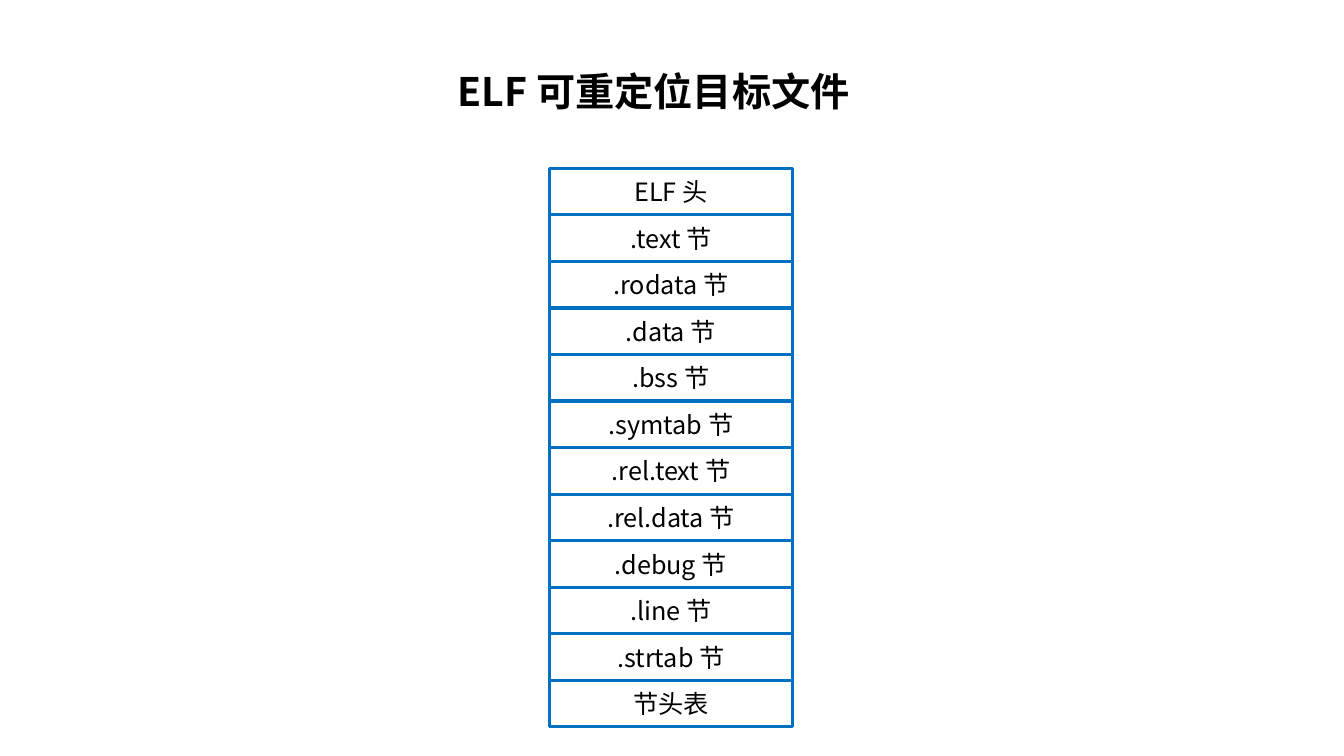
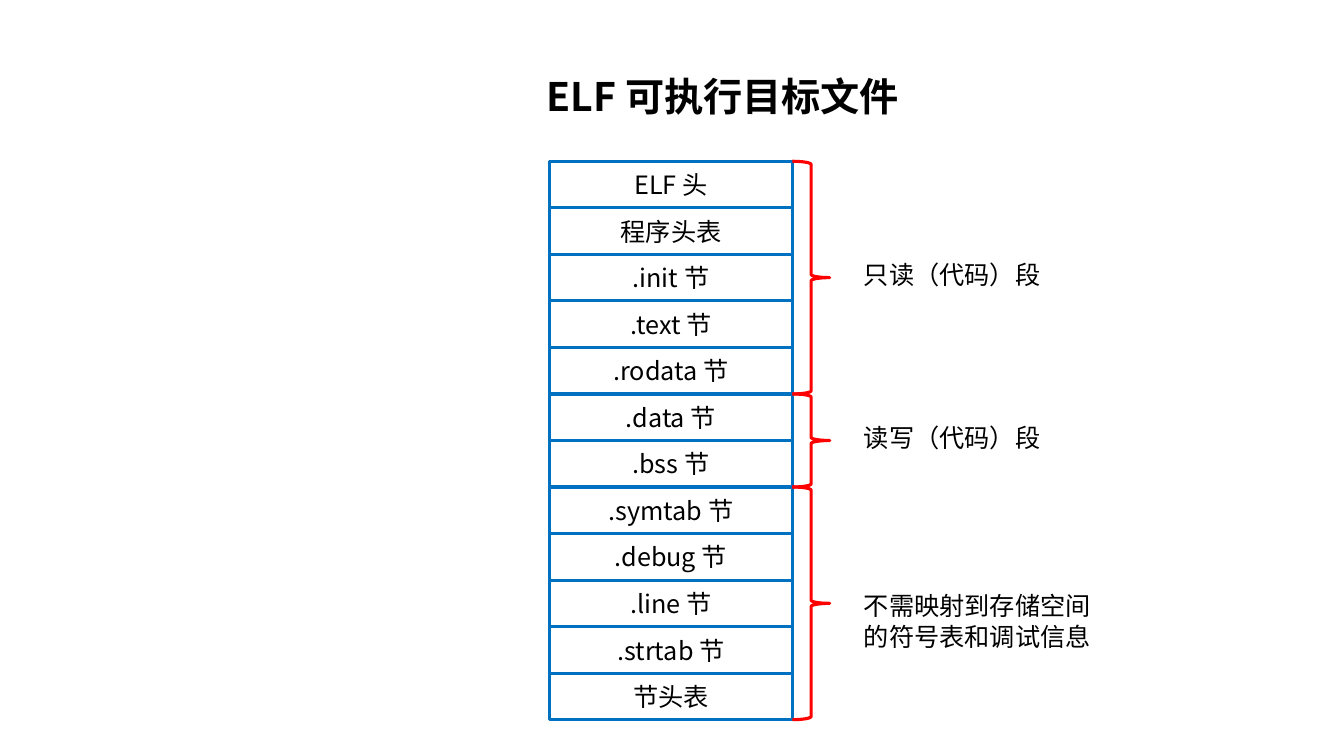
"""Build two slides on the section layout of ELF object files."""
import pptx
import pptx.dml.color
import pptx.enum.shapes
import pptx.enum.text
import pptx.oxml
import pptx.oxml.ns
import pptx.util

FONT = "Noto Sans CJK SC"
BLACK = pptx.dml.color.RGBColor(0x00, 0x00, 0x00)
BLUE = pptx.dml.color.RGBColor(0x00, 0x70, 0xC0)
RED = pptx.dml.color.RGBColor(0xFF, 0x00, 0x00)

deck = pptx.Presentation()
deck.slide_width = pptx.util.Inches(13.33)
deck.slide_height = pptx.util.Inches(7.5)

ROW = pptx.util.Inches(5.54) // 12
STACK_LEFT = pptx.util.Inches(5.45)
STACK_WIDTH = pptx.util.Inches(2.41)
BRACE_LEFT = STACK_LEFT + STACK_WIDTH
BRACE_WIDTH = pptx.util.Inches(0.37)
LABEL_LEFT = pptx.util.Inches(8.47)


def write(shape, text, size, bold=False, align="LEFT", anchor="TOP"):
    frame = shape.text_frame
    frame.word_wrap = True
    frame.vertical_anchor = getattr(pptx.enum.text.MSO_ANCHOR, anchor)
    paragraph = frame.paragraphs[0]
    paragraph.alignment = getattr(pptx.enum.text.PP_ALIGN, align)
    run = paragraph.add_run()
    run.text = text
    run.font.name = FONT
    run.font.size = pptx.util.Pt(size)
    run.font.bold = bold
    run.font.color.rgb = BLACK
    east_asian = pptx.oxml.parse_xml(
        f'<a:ea {pptx.oxml.ns.nsdecls("a")} typeface="{FONT}"/>')
    run.font._element.find(pptx.oxml.ns.qn("a:latin")).addnext(east_asian)


def add_outline(slide, preset, left, top, width, height, color):
    outline = slide.shapes.add_shape(preset, left, top, width, height)
    outline.shadow.inherit = False
    outline.fill.background()
    outline.line.color.rgb = color
    outline.line.width = pptx.util.Pt(2.25)
    return outline


object_files = [
    ("ELF 可重定位目标文件", 4.44, 0.62, 1.67,
     ["ELF 头", ".text 节", ".rodata 节", ".data 节", ".bss 节", ".symtab 节",
      ".rel.text 节", ".rel.data 节", ".debug 节", ".line 节", ".strtab 节",
      "节头表"],
     []),
    ("ELF 可执行目标文件", 5.32, 0.67, 1.6,
     ["ELF 头", "程序头表", ".init 节", ".text 节", ".rodata 节", ".data 节",
      ".bss 节", ".symtab 节", ".debug 节", ".line 节", ".strtab 节", "节头表"],
     [("只读（代码）段", 0, 5, 2.52, 2.23, 0.4),
      ("读写（代码）段", 5, 7, 4.14, 2.23, 0.4),
      ("不需映射到存储空间的符号表和调试信息", 7, 12, 5.81, 2.67, 0.71)]),
]

for heading, heading_left, heading_top, stack_top, sections, segments in object_files:
    slide = deck.slides.add_slide(deck.slide_layouts[5])
    title = slide.shapes.title
    title.left = pptx.util.Inches(heading_left)
    title.top = pptx.util.Inches(heading_top)
    title.width = pptx.util.Inches(4.44)
    title.height = pptx.util.Inches(0.57)
    title.text_frame.auto_size = pptx.enum.text.MSO_AUTO_SIZE.SHAPE_TO_FIT_TEXT
    write(title, heading, 28, bold=True)

    first_row = pptx.util.Inches(stack_top)
    for row, name in enumerate(sections):
        section = add_outline(
            slide, pptx.enum.shapes.MSO_SHAPE.RECTANGLE,
            STACK_LEFT, first_row + row * ROW, STACK_WIDTH, ROW, BLUE)
        write(section, name, 18, align="CENTER", anchor="MIDDLE")

    for meaning, start, end, label_top, label_width, label_height in segments:
        add_outline(
            slide, pptx.enum.shapes.MSO_SHAPE.RIGHT_BRACE,
            BRACE_LEFT, first_row + start * ROW, BRACE_WIDTH, (end - start) * ROW, RED)
        label = slide.shapes.add_textbox(
            LABEL_LEFT, pptx.util.Inches(label_top),
            pptx.util.Inches(label_width), pptx.util.Inches(label_height))
        label.text_frame.auto_size = pptx.enum.text.MSO_AUTO_SIZE.SHAPE_TO_FIT_TEXT
        write(label, meaning, 18)

deck.save("out.pptx")
